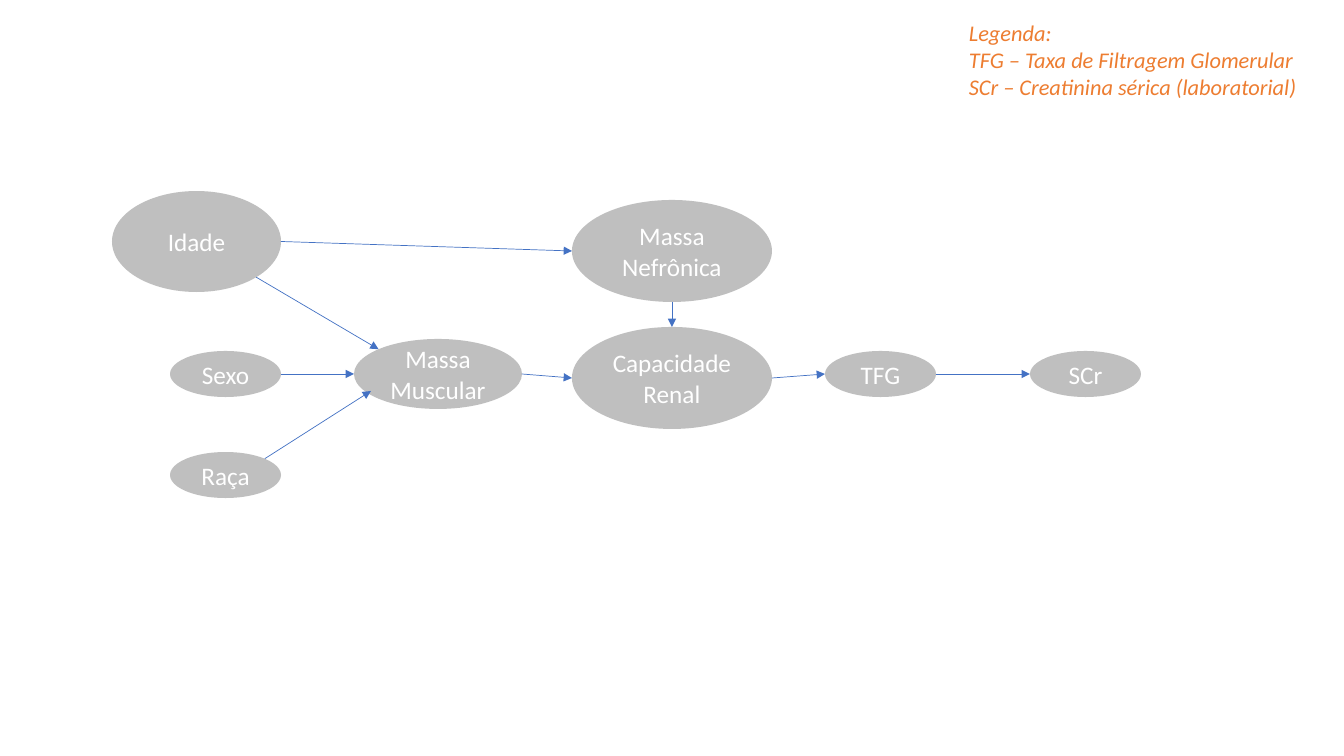
"""Build a slide with the causal diagram from patient traits to serum creatinine."""
from dataclasses import dataclass
from enum import IntEnum
from math import sqrt
from typing import NamedTuple, Optional

from lxml.etree import SubElement
from pptx import Presentation
from pptx.dml.color import RGBColor
from pptx.enum.shapes import MSO_CONNECTOR, MSO_SHAPE
from pptx.enum.text import MSO_ANCHOR, MSO_AUTO_SIZE, PP_ALIGN
from pptx.oxml.ns import qn
from pptx.shapes.autoshape import Shape
from pptx.slide import Slide
from pptx.text.text import TextFrame
from pptx.util import Emu, Pt

EMU_PER_PIXEL = 914400 / 100.8
SLIDE_WIDTH, SLIDE_HEIGHT = 1344, 756


@dataclass(frozen=True)
class Theme:
    """Colours, font and sizes of the slide."""
    font: str = "Calibri"
    node_fill: RGBColor = RGBColor(0xBF, 0xBF, 0xBF)
    node_text: RGBColor = RGBColor(0xFF, 0xFF, 0xFF)
    legend_text: RGBColor = RGBColor(0xED, 0x7D, 0x31)
    arrow: RGBColor = RGBColor(0x44, 0x72, 0xC4)
    node_size: int = 18
    legend_size: int = 16
    arrow_width: float = 0.5


class Site(IntEnum):
    """Connection sites of an ellipse, counter-clockwise from the top."""
    TOP = 0
    TOP_LEFT = 1
    LEFT = 2
    BOTTOM_LEFT = 3
    BOTTOM = 4
    BOTTOM_RIGHT = 5
    RIGHT = 6
    TOP_RIGHT = 7


class Point(NamedTuple):
    """A place on the slide in pixels."""
    x: float
    y: float


@dataclass(frozen=True)
class Node:
    """An ellipse of the diagram, in pixels."""
    label: str
    left: int
    top: int
    width: int
    height: int

    def point(self, site: Site) -> Point:
        """Return the place of a connection site."""
        diagonal = 1 / sqrt(2)
        across = (0, -diagonal, -1, -diagonal, 0, diagonal, 1, diagonal)[site]
        down = (-1, -diagonal, 0, diagonal, 1, diagonal, 0, -diagonal)[site]
        return Point(self.left + self.width * (1 + across) / 2,
                     self.top + self.height * (1 + down) / 2)


@dataclass(frozen=True)
class Arrow:
    """An arrow between two nodes, ending at a site or at a free point."""
    source: Node
    target: Node
    source_site: Site = Site.RIGHT
    target_site: Site = Site.LEFT
    free_end: Optional[Point] = None


THEME = Theme()
SMALL = (111, 46)
LARGE = (200, 102)
ROW_TOP = 351

AGE = Node("Idade", 112, 191, 169, 101)
SEX = Node("Sexo", 170, ROW_TOP, *SMALL)
RACE = Node("Raça", 170, 452, *SMALL)
MUSCLE_MASS = Node("Massa Muscular", 354, 339, 168, 70)
NEPHRON_MASS = Node("Massa Nefrônica", 572, 200, *LARGE)
RENAL_CAPACITY = Node("Capacidade Renal", 572, 327, *LARGE)
FILTRATION_RATE = Node("TFG", 825, ROW_TOP, *SMALL)
CREATININE = Node("SCr", 1030, ROW_TOP, *SMALL)
NODES = (AGE, SEX, RACE, MUSCLE_MASS, NEPHRON_MASS, RENAL_CAPACITY,
         FILTRATION_RATE, CREATININE)

ARROWS = (
    Arrow(AGE, NEPHRON_MASS),
    Arrow(AGE, MUSCLE_MASS, Site.BOTTOM_RIGHT, Site.TOP_LEFT),
    Arrow(SEX, MUSCLE_MASS),
    Arrow(RACE, MUSCLE_MASS, Site.TOP_RIGHT, free_end=Point(371, 391)),
    Arrow(MUSCLE_MASS, RENAL_CAPACITY),
    Arrow(NEPHRON_MASS, RENAL_CAPACITY, Site.BOTTOM, Site.TOP),
    Arrow(RENAL_CAPACITY, FILTRATION_RATE),
    Arrow(FILTRATION_RATE, CREATININE),
)

LEGEND = ("Legenda:\nTFG – Taxa de Filtragem Glomerular\n"
          "SCr – Creatinina sérica (laboratorial)")


def px(pixels: float) -> Emu:
    """Turn pixels into EMU."""
    return Emu(round(pixels * EMU_PER_PIXEL))


def format_text(text_frame: TextFrame, size: int, color: RGBColor,
                alignment: PP_ALIGN, italic: bool = False) -> None:
    """Format every paragraph and run of a text frame."""
    for paragraph in text_frame.paragraphs:
        paragraph.alignment = alignment
        for run in paragraph.runs:
            run.font.name = THEME.font
            run.font.size = Pt(size)
            run.font.italic = italic
            run.font.color.rgb = color


def draw_node(slide: Slide, node: Node) -> Shape:
    """Draw a labelled ellipse."""
    shape = slide.shapes.add_shape(MSO_SHAPE.OVAL, px(node.left), px(node.top),
                                   px(node.width), px(node.height))
    shape.shadow.inherit = False
    shape.fill.solid()
    shape.fill.fore_color.rgb = THEME.node_fill
    shape.line.fill.background()
    text_frame = shape.text_frame
    text_frame.text = node.label
    text_frame.word_wrap = True
    text_frame.vertical_anchor = MSO_ANCHOR.MIDDLE
    format_text(text_frame, THEME.node_size, THEME.node_text, PP_ALIGN.CENTER)
    return shape


def draw_arrow(slide: Slide, arrow: Arrow, shapes: dict[Node, Shape]) -> None:
    """Draw an arrow and attach it to the sites it touches."""
    start = arrow.source.point(arrow.source_site)
    end = arrow.free_end or arrow.target.point(arrow.target_site)
    connector = slide.shapes.add_connector(
        MSO_CONNECTOR.STRAIGHT, px(start.x), px(start.y), px(end.x), px(end.y))
    connector.line.color.rgb = THEME.arrow
    connector.line.width = Pt(THEME.arrow_width)
    shape_properties = connector._element.spPr
    SubElement(shape_properties.find(qn("a:ln")), qn("a:tailEnd"), type="triangle")
    SubElement(shape_properties, qn("a:effectLst"))
    attachments = [("a:stCxn", arrow.source, arrow.source_site)]
    if arrow.free_end is None:
        attachments.append(("a:endCxn", arrow.target, arrow.target_site))
    connections = connector._element.find(f".//{qn('p:cNvCxnSpPr')}")
    for tag, node, site in attachments:
        SubElement(connections, qn(tag),
                   id=str(shapes[node].shape_id), idx=str(int(site)))


def draw_legend(slide: Slide) -> None:
    """Write the legend of abbreviations at the top right."""
    box = slide.shapes.add_textbox(px(959), px(14), px(370), px(92))
    text_frame = box.text_frame
    text_frame.text = LEGEND
    text_frame.word_wrap = True
    text_frame.auto_size = MSO_AUTO_SIZE.SHAPE_TO_FIT_TEXT
    format_text(text_frame, THEME.legend_size, THEME.legend_text,
                PP_ALIGN.LEFT, italic=True)


def main() -> None:
    """Build and save the presentation."""
    presentation = Presentation()
    presentation.slide_width = px(SLIDE_WIDTH)
    presentation.slide_height = px(SLIDE_HEIGHT)
    slide = presentation.slides.add_slide(
        presentation.slide_layouts.get_by_name("Blank"))
    shapes = {node: draw_node(slide, node) for node in NODES}
    for arrow in ARROWS:
        draw_arrow(slide, arrow, shapes)
    draw_legend(slide)
    presentation.save("out.pptx")


main()
